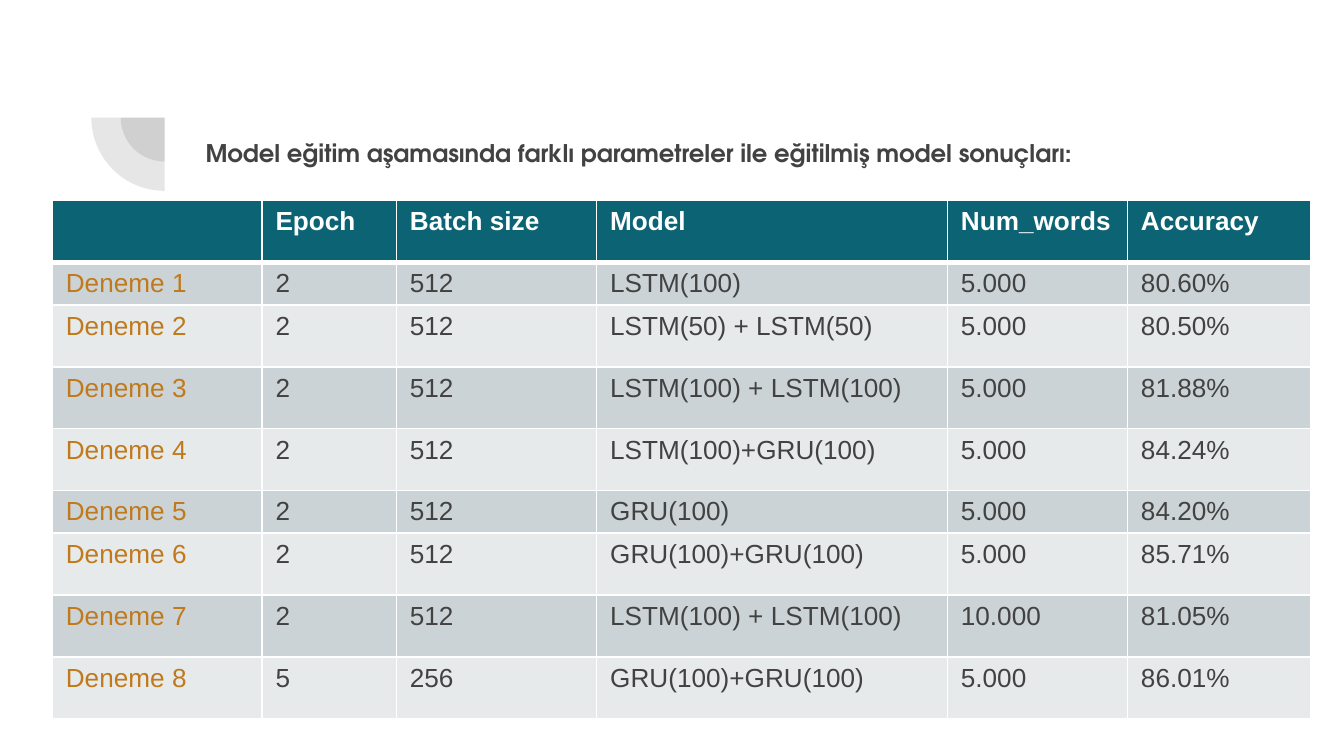
from lxml import etree
from pptx import Presentation
from pptx.dml.color import RGBColor
from pptx.enum.shapes import MSO_SHAPE
from pptx.enum.text import MSO_ANCHOR, PP_ALIGN
from pptx.oxml.ns import qn
from pptx.util import Inches, Pt

PIE = MSO_SHAPE.PIE
MIDDLE = MSO_ANCHOR.MIDDLE
LEFT = PP_ALIGN.LEFT

WHITE = RGBColor(0xFF, 0xFF, 0xFF)
DARK = RGBColor(0x42, 0x42, 0x42)
TEAL = RGBColor(0x0B, 0x63, 0x74)
OCHRE = RGBColor(0xC0, 0x79, 0x1B)
BANDS = (RGBColor(0xCC, 0xD3, 0xD6), RGBColor(0xE7, 0xEA, 0xEB))

TITLE = "Model eğitim aşamasında farklı parametreler ile eğitilmiş model sonuçları:"
HEADER = ("", "Epoch", "Batch size", "Model", "Num_words", "Accuracy")
TRIALS = (
    ("2", "512", "LSTM(100)", "5.000", "80.60%"),
    ("2", "512", "LSTM(50) + LSTM(50)", "5.000", "80.50%"),
    ("2", "512", "LSTM(100) + LSTM(100)", "5.000", "81.88%"),
    ("2", "512", "LSTM(100)+GRU(100)", "5.000", "84.24%"),
    ("2", "512", "GRU(100)", "5.000", "84.20%"),
    ("2", "512", "GRU(100)+GRU(100)", "5.000", "85.71%"),
    ("2", "512", "LSTM(100) + LSTM(100)", "10.000", "81.05%"),
    ("5", "256", "GRU(100)+GRU(100)", "5.000", "86.01%"),
)
COL_WIDTHS = (1.56, 1, 1.49, 2.61, 1.34, 1.36)
ROW_HEIGHT, SHORT_ROW_HEIGHT = 0.46, 0.31
SHORT_ROWS = (1, 5)


def style_font(p, name, size, color, bold):
    p.font.name = name
    p.font.size = Pt(size)
    p.font.color.rgb = color
    p.font.bold = bold


def add_quarter_rings(s, x, y, size):
    for scale in (0.6, 1):
        d = size * scale
        inset = (size - d) / 2
        pie = s.shapes.add_shape(
            PIE, Inches(x + inset), Inches(y + inset), Inches(d), Inches(d))
        pie.adjustments[0], pie.adjustments[1] = 108, 162
        pie.rotation = 270
        pie.shadow.inherit = False
        pie.line.fill.background()
        pie.fill.solid()
        pie.fill.fore_color.rgb = DARK
        color = pie.element.spPr.find(".//" + qn("a:srgbClr"))
        etree.SubElement(color, qn("a:alpha"), val="13000")


def add_title(s, x, y, w, h):
    title = s.shapes.title
    title.left, title.top = Inches(x), Inches(y)
    title.width, title.height = Inches(w), Inches(h)
    tf = title.text_frame
    tf.text = TITLE
    tf.word_wrap = True
    tf.vertical_anchor = MIDDLE
    tf.margin_left = tf.margin_right = Inches(0.1)
    tf.margin_top = tf.margin_bottom = Inches(0.1)
    p = tf.paragraphs[0]
    p.alignment = LEFT
    style_font(p, "TeX Gyre Adventor", 13, DARK, True)


def add_borders(cell, top, bottom):
    tc_pr = cell._tc.get_or_add_tcPr()
    for side, width in (("L", 1), ("R", 1), ("T", top), ("B", bottom)):
        ln = etree.SubElement(tc_pr, qn("a:ln" + side), w=str(Pt(width)))
        fill = etree.SubElement(ln, qn("a:solidFill"))
        etree.SubElement(fill, qn("a:srgbClr"), val=str(WHITE))


def add_results_table(s, x, y, w, h):
    rows = [HEADER] + [(f"Deneme {i}", *t) for i, t in enumerate(TRIALS, 1)]
    table = s.shapes.add_table(
        len(rows), len(HEADER), Inches(x), Inches(y), Inches(w), Inches(h)).table
    table.horz_banding = False
    for column, width in zip(table.columns, COL_WIDTHS):
        column.width = Inches(width)
    for i, values in enumerate(rows):
        height = SHORT_ROW_HEIGHT if i in SHORT_ROWS else ROW_HEIGHT
        table.rows[i].height = Inches(height)
        header = i == 0
        for j, value in enumerate(values):
            cell = table.cell(i, j)
            add_borders(cell, 3 if i == 1 else 1, 3 if header else 1)
            cell.fill.solid()
            cell.fill.fore_color.rgb = TEAL if header else BANDS[(i - 1) % 2]
            cell.text = value
            color = WHITE if header else OCHRE if j == 0 else DARK
            style_font(cell.text_frame.paragraphs[0], "Arial", 14, color, header)


def main():
    prs = Presentation()
    prs.slide_width = Inches(10)
    prs.slide_height = prs.slide_width * 9 // 16
    s = prs.slides.add_slide(prs.slide_layouts[5])
    add_quarter_rings(s, 0.68, 0.33, 1.09)
    add_title(s, 1.43, 0.93, 7.69, 0.41)
    add_results_table(s, 0.39, 1.49, 9.36, 3.86)
    prs.save("out.pptx")


if __name__ == "__main__":
    main()
